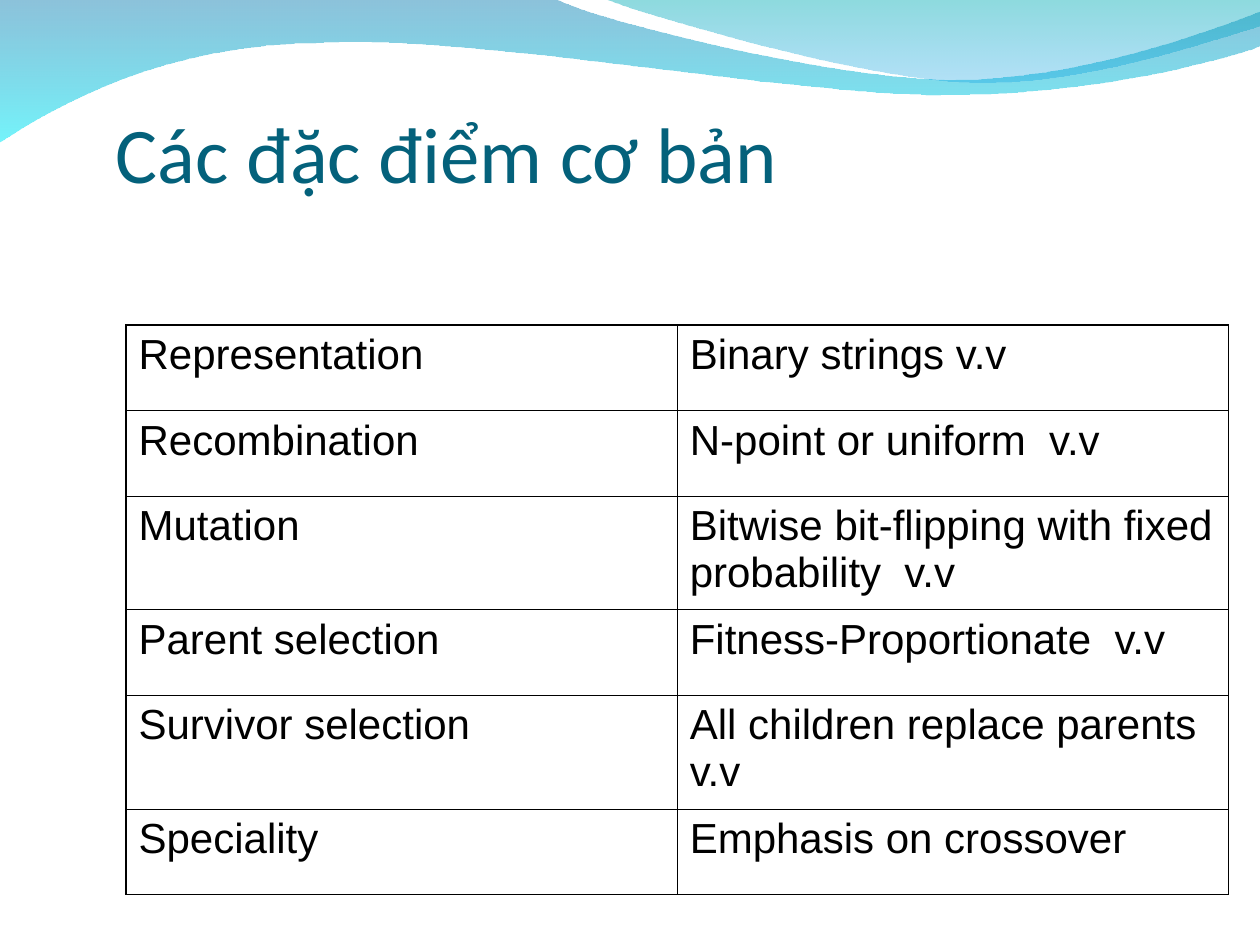
from lxml import etree
from pptx import Presentation
from pptx.dml.color import RGBColor
from pptx.enum.text import MSO_ANCHOR, MSO_AUTO_SIZE, PP_ALIGN
from pptx.oxml.ns import qn
from pptx.util import Inches, Pt

BOTTOM = MSO_ANCHOR.BOTTOM
TOP = MSO_ANCHOR.TOP
LEFT = PP_ALIGN.LEFT
NO_AUTOFIT = MSO_AUTO_SIZE.NONE

TITLE_COLOR = RGBColor(0x04, 0x61, 0x7B)
BLACK = RGBColor(0, 0, 0)
DEEP_BLUE = RGBColor(0x00, 0x79, 0xAF)
CYAN = RGBColor(0x00, 0xEB, 0xF8)
TEAL = RGBColor(0x00, 0xAD, 0xB6)
SKY = RGBColor(0x00, 0x9B, 0xE5)

TITLE = "Các đặc điểm cơ bản"
FEATURES = [
    ("Representation", "Binary strings v.v"),
    ("Recombination", "N-point or uniform  v.v"),
    ("Mutation", "Bitwise bit-flipping with fixed probability  v.v"),
    ("Parent selection", "Fitness-Proportionate  v.v"),
    ("Survivor selection", "All children replace parents  v.v"),
    ("Speciality", "Emphasis on crossover"),
]
TABLE_LEFT, TABLE_TOP, TABLE_WIDTH = 1, 2.58, 8.75
SINGLE_ROW, DOUBLE_ROW = 0.68, 0.9
DOUBLE_ROWS = {2, 4}
OUTER_LINE, INNER_LINE = 1.08, 0.45
UNITS_PER_INCH = 100

WAVES = [
    {
        "start": (0, -0.01),
        "segments": [
            [(4.4, -0.01)],
            [(4.76, 0.17), (6.64, 0.63), (7.58, 0.63)],
            [(8.53, 0.63), (9.58, 0.26), (10, 0.09)],
            [(10.01, 0.36)],
            [(9.83, 0.44), (8.7, 0.76), (7.46, 0.75)],
            [(6.22, 0.75), (3.82, 0.28), (2.57, 0.34)],
            [(1.29, 0.35), (0.46, 0.83), (-0.01, 1.13)],
        ],
        "stops": [(DEEP_BLUE, 45), (CYAN, 55)],
    },
    {
        "start": (4.79, -0.01),
        "segments": [
            [(5.09, 0.11), (6.82, 0.62), (7.69, 0.65)],
            [(8.56, 0.69), (9.61, 0.32), (10, 0.21)],
            [(10, 0)],
        ],
        "stops": [(TEAL, 45), (SKY, 30)],
    },
]


def to_units(point):
    return tuple(round(value * UNITS_PER_INCH) for value in point)


def bend_segments(shape, segments):
    lines = iter(list(shape._element.spPr.iter(qn("a:lnTo"))))
    for segment in segments:
        members = [next(lines) for _ in segment]
        if len(members) == 1:
            continue
        curve = etree.Element(qn("a:cubicBezTo"))
        members[0].addprevious(curve)
        for member in members:
            curve.append(member[0])
            member.getparent().remove(member)


def add_wave(slide, start, segments, stops):
    points = [to_units(point) for segment in segments for point in segment]
    builder = slide.shapes.build_freeform(*to_units(start), scale=Inches(1) / UNITS_PER_INCH)
    builder.add_line_segments(points, close=True)
    shape = builder.convert_to_shape()
    bend_segments(shape, segments)
    shape.shadow.inherit = False
    shape.line.fill.background()
    shape.fill.gradient()
    shape.fill.gradient_angle = 270
    for stop, (color, _) in zip(shape.fill.gradient_stops, stops):
        stop.color.rgb = color
    color_elements = shape._element.spPr.iter(qn("a:srgbClr"))
    for element, (_, opacity) in zip(list(color_elements), stops):
        etree.SubElement(element, qn("a:alpha"), val=str(opacity * 1000))


def write(paragraph, text, font_name, size, color):
    paragraph.alignment = LEFT
    run = paragraph.add_run()
    run.text = text
    run.font.name = font_name
    run.font.size = Pt(size)
    run.font.color.rgb = color


def add_title(slide):
    title = slide.shapes.title
    slide.shapes._spTree.append(title._element)
    title.left, title.top = Inches(0.92), Inches(0.83)
    title.width, title.height = Inches(8.75), Inches(0.75)
    frame = title.text_frame
    frame.auto_size = NO_AUTOFIT
    frame.word_wrap = True
    frame.vertical_anchor = BOTTOM
    frame.margin_left = frame.margin_right = frame.margin_bottom = 0
    frame.margin_top = Inches(0.05)
    write(frame.paragraphs[0], TITLE, "Calibri", 45, TITLE_COLOR)


def set_borders(cell, widths):
    properties = cell._tc.get_or_add_tcPr()
    for index, (side, width) in enumerate(widths.items()):
        line = etree.Element(qn(f"a:{side}"), w=str(Pt(width)))
        fill = etree.SubElement(line, qn("a:solidFill"))
        etree.SubElement(fill, qn("a:srgbClr"), val=str(BLACK))
        properties.insert(index, line)


def add_features(slide):
    heights = [DOUBLE_ROW if row in DOUBLE_ROWS else SINGLE_ROW for row in range(len(FEATURES))]
    last_row, last_column = len(FEATURES) - 1, len(FEATURES[0]) - 1
    table = slide.shapes.add_table(
        len(FEATURES), len(FEATURES[0]), Inches(TABLE_LEFT), Inches(TABLE_TOP),
        Inches(TABLE_WIDTH), Inches(sum(heights)),
    ).table
    table.first_row = table.horz_banding = False
    for column in table.columns:
        column.width = Inches(TABLE_WIDTH / len(FEATURES[0]))
    for row, texts in enumerate(FEATURES):
        table.rows[row].height = Inches(heights[row])
        for column, text in enumerate(texts):
            cell = table.cell(row, column)
            cell.fill.background()
            cell.vertical_anchor = TOP
            write(cell.text_frame.paragraphs[0], text, "Arial", 24, BLACK)
            edges = {
                "lnL": column == 0,
                "lnR": column == last_column,
                "lnT": row == 0,
                "lnB": row == last_row,
            }
            set_borders(cell, {
                side: OUTER_LINE if outer else INNER_LINE for side, outer in edges.items()
            })


def main():
    presentation = Presentation()
    presentation.slide_width, presentation.slide_height = Inches(10), Inches(7.5)
    slide = presentation.slides.add_slide(presentation.slide_layouts[5])
    for wave in WAVES:
        add_wave(slide, **wave)
    add_title(slide)
    add_features(slide)
    presentation.save("out.pptx")


if __name__ == "__main__":
    main()
